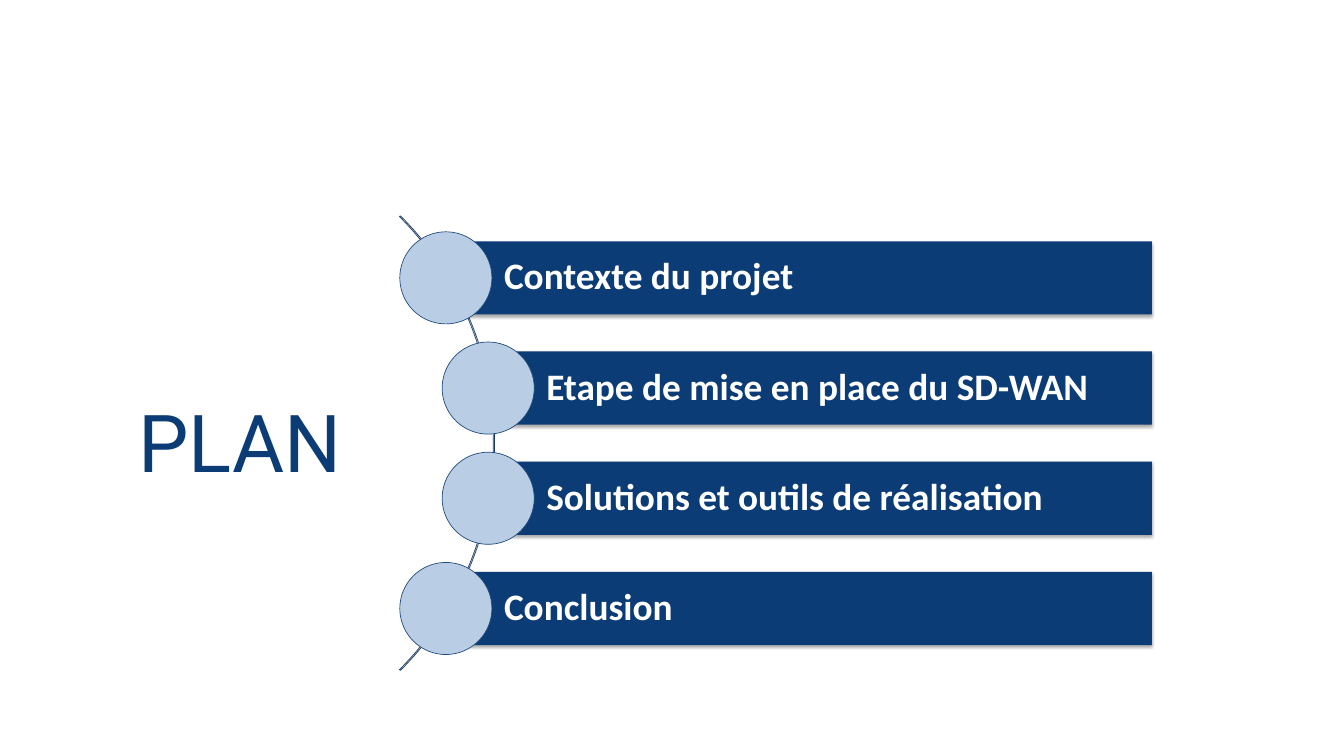
import pptx
import pptx.util
import pptx.dml.color
import pptx.enum.shapes
import pptx.enum.text
import lxml.etree
from pptx.oxml.ns import qn

SCALE = 9144
COLORS = {
    "navy": "0C3C76",
    "arc": "193A64",
    "rim": "1F497D",
    "pale": "B9CDE5",
    "white": "FFFFFF",
    "black": "000000",
}
KINDS = pptx.enum.shapes.MSO_SHAPE
ALIGN = pptx.enum.text.PP_ALIGN
ITEMS = [
    ("Contexte du projet", 663),
    ("Etape de mise en place du SD-WAN", 726),
    ("Solutions et outils de réalisation", 726),
    ("Conclusion", 663),
]
TOP, STEP, RIGHT = 359, 164, 1714
BAR, DOT = 109, 137


def px(size):
    return pptx.util.Emu(size * SCALE)


def color(name):
    return pptx.dml.color.RGBColor.from_string(COLORS[name])


def add_shape(slide, kind, box, fill=None, line=None):
    shape = slide.shapes.add_shape(kind, *map(px, box))
    shape.shadow.inherit = False
    if fill:
        shape.fill.solid()
        shape.fill.fore_color.rgb = color(fill)
    else:
        shape.fill.background()
    if line:
        shape.line.color.rgb = color(line)
        shape.line.width = pptx.util.Pt(0.75)
    else:
        shape.line.fill.background()
    return shape


def add_shadow(shape):
    effects = shape.element.spPr.find(qn("a:effectLst"))
    outer = lxml.etree.SubElement(
        effects, qn("a:outerShdw"), blurRad=str(pptx.util.Pt(3.1)),
        dist=str(pptx.util.Pt(1.8)), dir="5400000", rotWithShape="0")
    tint = lxml.etree.SubElement(outer, qn("a:srgbClr"), val=COLORS["black"])
    lxml.etree.SubElement(tint, qn("a:alpha"), val="35000")


def set_text(shape, text, font, size, tint, align, space, insets, bold=False):
    frame = shape.text_frame
    frame.word_wrap = True
    (frame.margin_left, frame.margin_top,
     frame.margin_right, frame.margin_bottom) = map(px, insets)
    para = frame.paragraphs[0]
    para.alignment = align
    para.line_spacing = space
    run = para.add_run()
    run.text = text
    run.font.name = font
    run.font.size = pptx.util.Pt(size)
    run.font.bold = bold
    run.font.color.rgb = color(tint)
    return frame


def add_title(slide):
    box = slide.shapes.add_textbox(*map(px, (125, 560, 383, 150)))
    frame = set_text(box, "PLAN", "Roboto", 85.6, "navy", ALIGN.RIGHT,
                     pptx.util.Pt(119.8), (0, 0, 0, 0))
    frame.auto_size = pptx.enum.text.MSO_AUTO_SIZE.SHAPE_TO_FIT_TEXT


def add_arc(slide):
    arc = add_shape(slide, KINDS.BLOCK_ARC, (-221, 181, 957, 957), line="arc")
    for index, value in enumerate((189, 27, 0.002)):
        arc.adjustments[index] = value


def add_item(slide, text, left, top):
    bar = add_shape(slide, KINDS.RECTANGLE, (left, top, RIGHT - left, BAR), "navy")
    add_shadow(bar)
    frame = set_text(bar, text, "Calibri", 40, "white", ALIGN.LEFT, 0.9,
                     (87, 11, 11, 11), True)
    frame.vertical_anchor = pptx.enum.text.MSO_ANCHOR.MIDDLE
    dot = (left - DOT // 2, top - (DOT - BAR) // 2, DOT, DOT)
    add_shape(slide, KINDS.OVAL, dot, "pale", "rim")


def main():
    deck = pptx.Presentation()
    deck.slide_width, deck.slide_height = px(2000), px(1125)
    slide = deck.slides.add_slide(deck.slide_layouts[6])
    add_title(slide)
    add_arc(slide)
    for row, (text, left) in enumerate(ITEMS):
        add_item(slide, text, left, TOP + row * STEP)
    deck.save("out.pptx")


if __name__ == "__main__":
    main()
